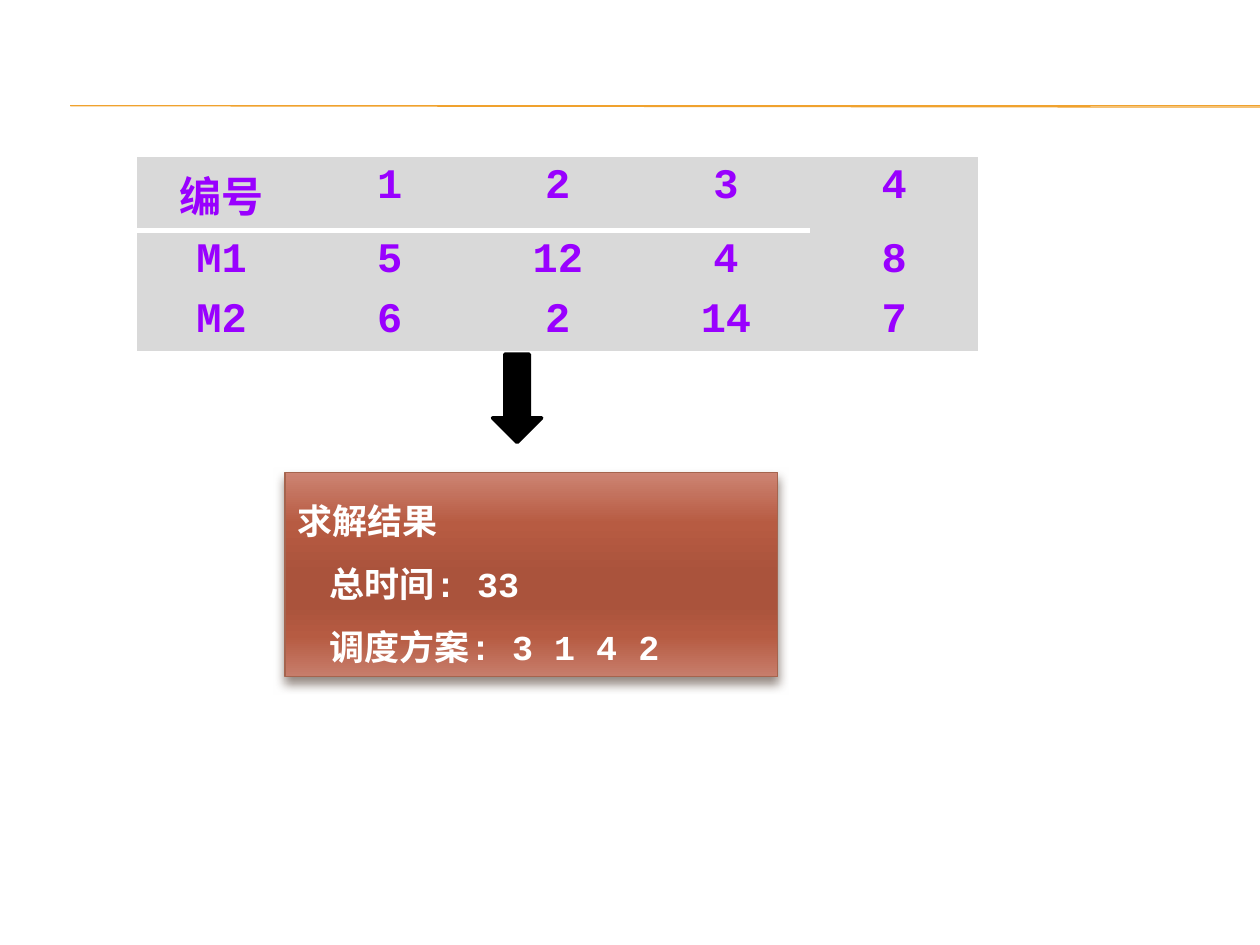
import pptx
import pptx.util
import pptx.dml.color
import pptx.enum.shapes
import pptx.enum.text
import pptx.oxml
import pptx.oxml.ns
from dataclasses import dataclass
from lxml import etree

Cm = pptx.util.Cm
Pt = pptx.util.Pt
qn = pptx.oxml.ns.qn


@dataclass(frozen=True)
class Theme:
    font: str = "Courier New"
    rule: str = "F0A22E"
    job: str = "9900FF"
    cell: str = "D9D9D9"
    light: str = "FFFFFF"
    arrow: str = "000000"
    edge: str = "A5644E"
    shade: str = "4E3B30"
    glow: tuple = ((0, "CD8473"), (25, "B75B42"), (50, "AA533C"),
                   (65, "AA533C"), (80, "B65B42"), (100, "C77D6B"))
    table_size: int = 24
    result_size: int = 20


THEME = Theme()
PLAIN_TABLE = "{2D5ABB26-0587-4C30-8999-92F81FD0307C}"


def rgb(colour):
    return pptx.dml.color.RGBColor.from_string(colour)


def add_node(parent, tag, **attributes):
    return etree.SubElement(parent, qn(tag), {k: str(v) for k, v in attributes.items()})


def write(paragraph, text, size, colour):
    run = paragraph.add_run()
    run.text = text
    run.font.name = THEME.font
    run.font.size = Pt(size)
    run.font.bold = True
    run.font.color.rgb = rgb(colour)


def add_header_rules(slide, left, top, width):
    for drop in (0, 0.03):
        rule = slide.shapes.add_connector(
            pptx.enum.shapes.MSO_CONNECTOR.STRAIGHT,
            Cm(left), Cm(top), Cm(left + width), Cm(top + drop))
        rule.line.color.rgb = rgb(THEME.rule)
        rule.line.width = Pt(0.75)
        add_node(rule.element.spPr, "a:effectLst")


def underline(cell):
    properties = cell._tc.get_or_add_tcPr()
    border = pptx.oxml.parse_xml(
        f'<a:lnB {pptx.oxml.ns.nsdecls("a")} w="{Pt(3)}"><a:solidFill>'
        f'<a:srgbClr val="{THEME.light}"/></a:solidFill></a:lnB>')
    properties.insert(0, border)


def add_job_table(slide, left, top, width, height):
    jobs = (("编号", "1", "2", "3", "4"),
            ("M1", "5", "12", "4", "8"),
            ("M2", "6", "2", "14", "7"))
    columns = len(jobs[0])
    table = slide.shapes.add_table(
        len(jobs), columns, Cm(left), Cm(top), Cm(width), Cm(height)).table
    table.first_row = False
    table.horz_banding = False
    table._tbl.tblPr.find(qn("a:tableStyleId")).text = PLAIN_TABLE
    for r, times in enumerate(jobs):
        for c, value in enumerate(times):
            cell = table.cell(r, c)
            cell.fill.solid()
            cell.fill.fore_color.rgb = rgb(THEME.cell)
            paragraph = cell.text_frame.paragraphs[0]
            paragraph.alignment = pptx.enum.text.PP_ALIGN.CENTER
            write(paragraph, value, THEME.table_size, THEME.job)
            if r == 0 and c < columns - 1:
                underline(cell)


def add_result_box(slide, left, top, width, height):
    result = slide.shapes.add_shape(
        pptx.enum.shapes.MSO_SHAPE.RECTANGLE, Cm(left), Cm(top), Cm(width), Cm(height))
    result.fill.gradient()
    result.fill.gradient_angle = 270
    stops = result.element.spPr.find(qn("a:gradFill")).find(qn("a:gsLst"))
    for stop in list(stops):
        stops.remove(stop)
    for position, colour in THEME.glow:
        add_node(add_node(stops, "a:gs", pos=position * 1000), "a:srgbClr", val=colour)
    result.line.color.rgb = rgb(THEME.edge)
    result.line.width = Pt(0.79)
    result.shadow.inherit = False
    shadow = add_node(result.element.spPr.find(qn("a:effectLst")), "a:outerShdw",
                      blurRad=Pt(6), dist=Pt(4), dir=90 * 60000, rotWithShape=0)
    add_node(add_node(shadow, "a:srgbClr", val=THEME.shade), "a:alpha", val=60000)

    frame = result.text_frame
    frame.word_wrap = True
    frame.auto_size = pptx.enum.text.MSO_AUTO_SIZE.SHAPE_TO_FIT_TEXT
    frame.vertical_anchor = pptx.enum.text.MSO_ANCHOR.TOP
    lines = (("求解结果", 0), ("总时间: 33", 0.65), ("调度方案: 3 1 4 2", 0.65))
    for number, (text, indent) in enumerate(lines):
        paragraph = frame.add_paragraph() if number else frame.paragraphs[0]
        paragraph.alignment = pptx.enum.text.PP_ALIGN.LEFT
        paragraph.line_spacing = 1.5
        if indent:
            paragraph._p.get_or_add_pPr().set("marL", str(Cm(indent)))
        write(paragraph, text, THEME.result_size, THEME.light)


def add_down_arrow(slide, left, top, width, height):
    arrow = slide.shapes.add_shape(
        pptx.enum.shapes.MSO_SHAPE.DOWN_ARROW, Cm(left), Cm(top), Cm(width), Cm(height))
    arrow.shadow.inherit = False
    arrow.fill.solid()
    arrow.fill.fore_color.rgb = rgb(THEME.arrow)
    arrow.line.color.rgb = rgb(THEME.arrow)
    arrow.line.width = Pt(2)


def main():
    deck = pptx.Presentation()
    deck.slide_width = Cm(25.4)
    deck.slide_height = Cm(19.05)
    slide = deck.slides.add_slide(deck.slide_layouts[6])
    add_header_rules(slide, 1.42, 2.13, 23.98)
    add_job_table(slide, 2.77, 3.17, 16.95, 3.1)
    add_result_box(slide, 5.75, 9.52, 9.93, 4.12)
    add_down_arrow(slide, 9.93, 7.14, 0.99, 1.78)
    deck.save("out.pptx")


if __name__ == "__main__":
    main()
